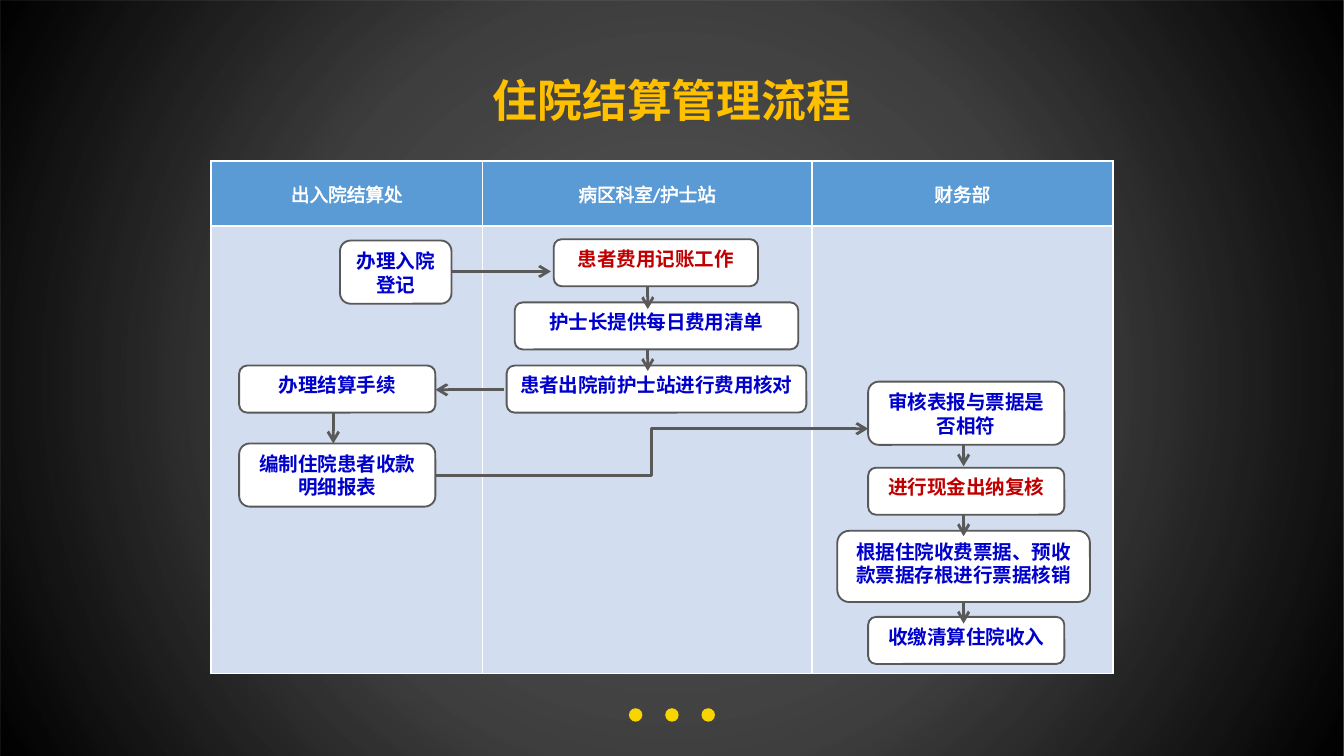
"""Build the inpatient settlement management flow slide."""
from lxml.etree import SubElement
from pptx import Presentation
from pptx.dml.color import RGBColor
from pptx.enum.shapes import MSO_CONNECTOR, MSO_SHAPE
from pptx.enum.text import MSO_ANCHOR, PP_ALIGN
from pptx.oxml import parse_xml
from pptx.oxml.ns import nsdecls, qn
from pptx.util import Inches, Pt

THEME = {
    "title": "FFC000", "dot": "F8D501", "header": "5B9BD5", "lane": "D2DEEF",
    "white": "FFFFFF", "line": "595959", "normal": "0000CC", "key": "C00000",
    "font": "Noto Sans CJK SC", "header_font": "Calibri",
    "title_size": 24, "header_size": 10, "step_size": 10.5,
}
WIDTH = 10
HEIGHT = WIDTH * 9 / 16
TITLE = "住院结算管理流程"
BACKDROP_STOPS = [(0, 65), (50, 75), (100, 100)]
LANES = [("出入院结算处", 2.02), ("病区科室/护士站", 2.45), ("财务部", 2.24)]
LANE_ROWS = [0.48, 3.33]
STEPS = [
    ("办理入院登记", "normal", 2.53, 1.79, 0.83, 0.47),
    ("患者费用记账工作", "key", 4.12, 1.78, 1.52, 0.35),
    ("护士长提供每日费用清单", "normal", 3.83, 2.25, 2.11, 0.35),
    ("患者出院前护士站进行费用核对", "normal", 3.77, 2.72, 2.23, 0.35),
    ("办理结算手续", "normal", 1.78, 2.72, 1.46, 0.35),
    ("编制住院患者收款明细报表", "normal", 1.78, 3.3, 1.46, 0.47),
    ("审核表报与票据是否相符", "normal", 6.46, 2.84, 1.46, 0.47),
    ("进行现金出纳复核", "key", 6.46, 3.48, 1.46, 0.35),
    ("根据住院收费票据、预收款票据存根进行票据核销", "normal", 6.23, 3.95, 1.88, 0.53),
    ("收缴清算住院收入", "normal", 6.46, 4.59, 1.46, 0.35),
]
DOWN_ARROWS = {
    2.48: [(3.07, 3.3)],
    4.82: [(2.13, 2.3), (2.6, 2.76)],
    7.17: [(3.3, 3.47), (3.83, 3.99), (4.48, 4.64)],
}
CROSS_ARROWS = [
    (MSO_CONNECTOR.STRAIGHT, 3.36, 2.02, 4.1, 2.02),
    (MSO_CONNECTOR.STRAIGHT, 3.75, 2.9, 3.24, 2.9),
    (MSO_CONNECTOR.ELBOW, 3.24, 3.54, 6.46, 3.19),
]


def color(name):
    return RGBColor.from_string(THEME[name])


def paint(shape, fill):
    shape.shadow.inherit = False
    shape.fill.solid()
    shape.fill.fore_color.rgb = color(fill)
    shape.line.fill.background()


def white_line(tag, points):
    return parse_xml(
        f'<a:{tag} {nsdecls("a")} w="{Pt(points)}"><a:solidFill>'
        f'<a:srgbClr val="{THEME["white"]}"/></a:solidFill></a:{tag}>')


def write(frame, text, font_name, size, ink, bold):
    paragraph = frame.paragraphs[0]
    paragraph.alignment = PP_ALIGN.CENTER
    run = paragraph.add_run()
    run.text = text
    run.font.name = THEME[font_name]
    run.font.size = Pt(THEME[size])
    run.font.bold = bold
    run.font.color.rgb = color(ink)
    SubElement(run.font._element, qn("a:ea"), typeface=THEME["font"])
    return run


def add_backdrop(slide):
    shape = slide.shapes.add_shape(MSO_SHAPE.RECTANGLE, 0, 0, Inches(WIDTH), Inches(HEIGHT))
    paint(shape, "white")
    stops = "".join(
        f'<a:gs pos="{position * 1000}"><a:srgbClr val="000000">'
        f'<a:alpha val="{alpha * 1000}"/></a:srgbClr></a:gs>'
        for position, alpha in BACKDROP_STOPS)
    gradient = parse_xml(
        f'<a:gradFill {nsdecls("a")} rotWithShape="1"><a:gsLst>{stops}</a:gsLst>'
        '<a:path path="circle"><a:fillToRect l="50000" t="50000" r="50000" b="50000"/>'
        '</a:path></a:gradFill>')
    properties = shape._element.spPr
    properties.replace(properties.find(qn("a:solidFill")), gradient)


def add_title(slide):
    title = slide.shapes.title
    title._element.getparent().append(title._element)
    title.left, title.top = Inches(0), Inches(0.49)
    title.width, title.height = Inches(WIDTH), Inches(0.5)
    title.text_frame.vertical_anchor = MSO_ANCHOR.MIDDLE
    write(title.text_frame, TITLE, "font", "title_size", "title", True)


def add_border(cell):
    properties = cell._tc.get_or_add_tcPr()
    for index, side in enumerate(("lnL", "lnR", "lnT", "lnB")):
        properties.insert(index, white_line(side, 1))


def add_lanes(slide):
    width = sum(lane_width for _, lane_width in LANES)
    table = slide.shapes.add_table(
        len(LANE_ROWS), len(LANES), Inches(1.57), Inches(1.2),
        Inches(width), Inches(sum(LANE_ROWS))).table
    for row, height in zip(table.rows, LANE_ROWS):
        row.height = Inches(height)
    for index, (name, lane_width) in enumerate(LANES):
        table.columns[index].width = Inches(lane_width)
        for row, fill in enumerate(("header", "lane")):
            cell = table.cell(row, index)
            cell.fill.solid()
            cell.fill.fore_color.rgb = color(fill)
            add_border(cell)
        header = table.cell(0, index)
        header.vertical_anchor = MSO_ANCHOR.MIDDLE
        header.margin_left = header.margin_right = Inches(0.07)
        header.margin_top = header.margin_bottom = Inches(0.04)
        run = write(header.text_frame, name, "header_font", "header_size", "white", False)
        run.font._element.insert(0, white_line("ln", 0.75))


def add_step(slide, text, ink, *box):
    shape = slide.shapes.add_shape(MSO_SHAPE.ROUNDED_RECTANGLE, *map(Inches, box))
    paint(shape, "white")
    shape.line.color.rgb = color("line")
    shape.line.width = Pt(1)
    frame = shape.text_frame
    frame.word_wrap = True
    frame.vertical_anchor = MSO_ANCHOR.TOP
    frame.margin_left = frame.margin_right = Inches(0.07)
    frame.margin_top = frame.margin_bottom = Inches(0.04)
    write(frame, text, "font", "step_size", ink, True)


def add_arrow(slide, kind, *ends):
    connector = slide.shapes.add_connector(kind, *map(Inches, ends))
    connector.line.color.rgb = color("line")
    connector.line.width = Pt(1.5)
    SubElement(connector.line._get_or_add_ln(), qn("a:tailEnd"), type="arrow")
    SubElement(connector._element.spPr, qn("a:effectLst"))


def main():
    presentation = Presentation()
    presentation.slide_width, presentation.slide_height = Inches(WIDTH), Inches(HEIGHT)
    slide = presentation.slides.add_slide(presentation.slide_layouts[5])
    add_backdrop(slide)
    for index in range(3):
        dot = slide.shapes.add_shape(
            MSO_SHAPE.OVAL, Inches(4.68 + 0.27 * index), Inches(5.27), Inches(0.1), Inches(0.1))
        paint(dot, "dot")
    add_title(slide)
    add_lanes(slide)
    for step in STEPS:
        add_step(slide, *step)
    for x, spans in DOWN_ARROWS.items():
        for top, bottom in spans:
            add_arrow(slide, MSO_CONNECTOR.STRAIGHT, x, top, x, bottom)
    for arrow in CROSS_ARROWS:
        add_arrow(slide, *arrow)
    presentation.save("out.pptx")


if __name__ == "__main__":
    main()
